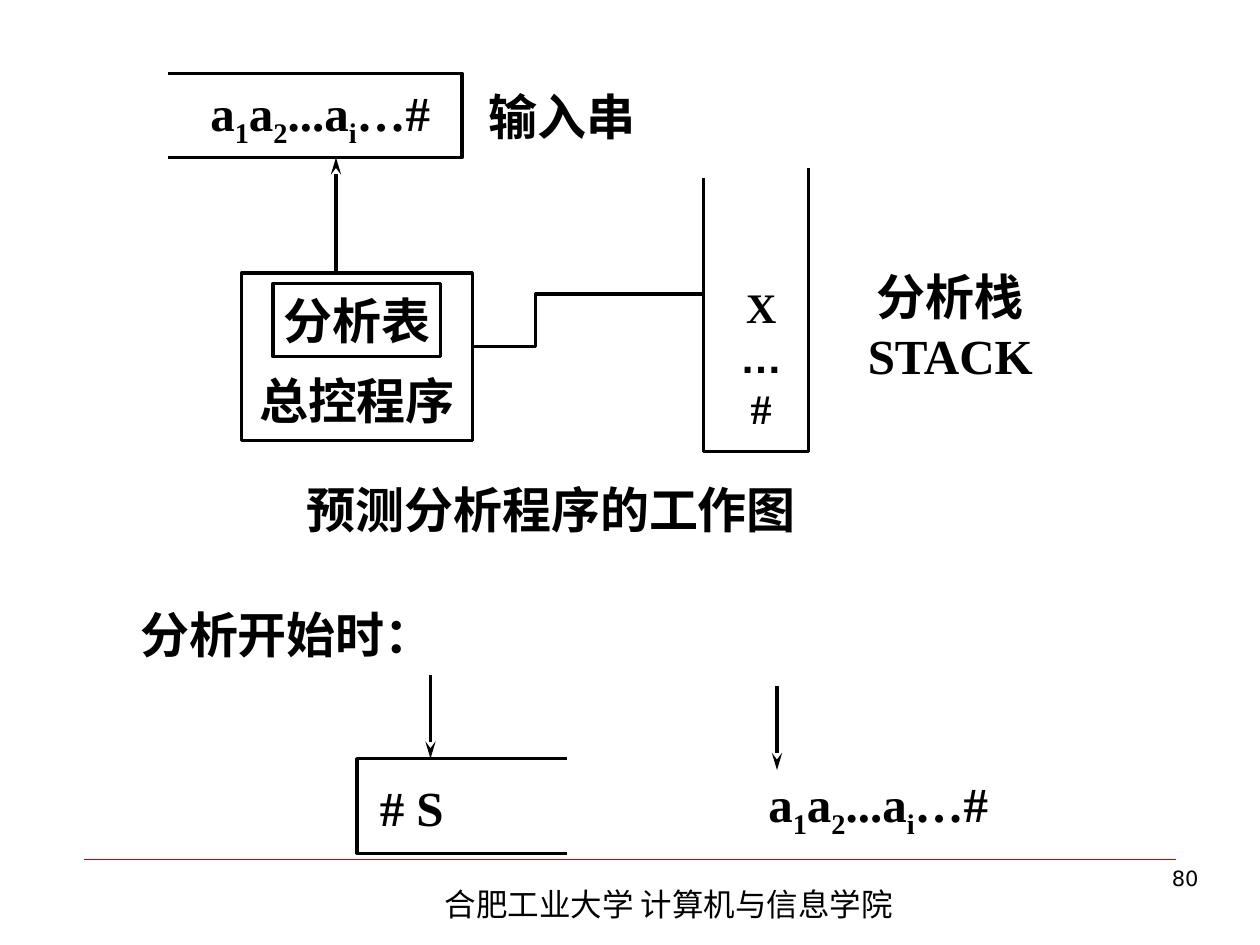
from dataclasses import dataclass

from lxml import etree
from pptx import Presentation
from pptx.dml.color import RGBColor
from pptx.enum.shapes import MSO_CONNECTOR, MSO_SHAPE
from pptx.enum.text import MSO_ANCHOR, PP_ALIGN
from pptx.oxml.ns import qn
from pptx.util import Pt

LEFT, CENTER, RIGHT = PP_ALIGN.LEFT, PP_ALIGN.CENTER, PP_ALIGN.RIGHT
TOP, MIDDLE, BOTTOM = MSO_ANCHOR.TOP, MSO_ANCHOR.MIDDLE, MSO_ANCHOR.BOTTOM
STRAIGHT = MSO_CONNECTOR.STRAIGHT
RECTANGLE = MSO_SHAPE.RECTANGLE

SERIF, SANS, CJK, NUMBER = "Times New Roman", "Arial", "Noto Sans CJK SC", "DejaVu Sans"
INK, RULE = "000000", "CC0000"
STROKE = 1.75
# Every second part between bars is a subscript
INPUT_STRING = "a|1|a|2|...a|i|…#"


@dataclass
class Box:
    left: float
    top: float
    width: float
    height: float

    def in_points(self):
        return Pt(self.left), Pt(self.top), Pt(self.width), Pt(self.height)


@dataclass
class Label:
    box: Box
    lines: list[str]
    align: PP_ALIGN = CENTER


@dataclass
class Arrow:
    x: float
    start: float
    end: float


def colour(hex_string: str) -> RGBColor:
    return RGBColor.from_string(hex_string)


def write(shape, lines, *, size=28, fonts=(SERIF,), bold=True, align=CENTER,
          anchor=MIDDLE, wrap=False, bottom_margin=3.6):
    """Write one paragraph per line; fonts are used in turn."""
    frame = shape.text_frame
    frame.word_wrap = wrap
    frame.vertical_anchor = anchor
    frame.margin_bottom = Pt(bottom_margin)
    for index, line in enumerate(lines):
        paragraph = frame.paragraphs[0] if index == 0 else frame.add_paragraph()
        paragraph.alignment = align
        for position, part in enumerate(line.split("|")):
            run = paragraph.add_run()
            run.text = part
            font = run.font
            font.name = fonts[index % len(fonts)]
            font.size, font.bold = Pt(size), bold
            font.color.rgb = colour(INK)
            east_asian = etree.SubElement(font._element, qn("a:ea"))
            east_asian.set("typeface", CJK)
            if position % 2:
                font._element.set("baseline", "-25000")


def add_text(slide, box: Box, lines: list[str], **text_format):
    write(slide.shapes.add_textbox(*box.in_points()), lines, **text_format)


def outline(shape):
    shape.shadow.inherit = False
    shape.fill.background()
    shape.line.color.rgb = colour(INK)
    shape.line.width = Pt(STROKE)


def add_box(slide, box: Box, text: str, **text_format):
    rectangle = slide.shapes.add_shape(RECTANGLE, *box.in_points())
    outline(rectangle)
    write(rectangle, [text], **text_format)


def add_path(slide, points: list[tuple[float, float]]):
    start, *others = [(Pt(x), Pt(y)) for x, y in points]
    builder = slide.shapes.build_freeform(*start)
    builder.add_line_segments(others, close=False)
    outline(builder.convert_to_shape())


def add_line(slide, start, end, *, ink=INK, width=STROKE, arrow=False):
    line = slide.shapes.add_connector(STRAIGHT, *(Pt(v) for v in (*start, *end)))
    line.line.color.rgb = colour(ink)
    line.line.width = Pt(width)
    if arrow:
        head = etree.SubElement(line.line._get_or_add_ln(), qn("a:tailEnd"))
        head.set("type", "stealth")
        head.set("len", "lg")
    etree.SubElement(line._element.spPr, qn("a:effectLst"))


def main():
    deck = Presentation()
    deck.slide_width, deck.slide_height = Pt(720), Pt(540)
    slide = deck.slides.add_slide(deck.slide_layouts[6])

    # Footer
    add_line(slide, (48, 491), (672, 491), ink=RULE, width=0.25)
    add_text(slide, Box(247, 502, 346, 29), ["合肥工业大学 计算机与信息学院"],
             size=18, fonts=(CJK,), bold=False, align=LEFT, anchor=TOP, wrap=True)
    add_text(slide, Box(536, 491, 156, 37.5), ["80"],
             size=12, fonts=(NUMBER,), bold=False, align=RIGHT, anchor=TOP, wrap=True)

    # Control program holding the parsing table
    add_box(slide, Box(138, 156, 132, 96), "总控程序", anchor=BOTTOM, bottom_margin=6.6)
    add_box(slide, Box(156, 162, 96, 42), "分析表")

    # Open outlines
    input_tape = [(96, 42), (264, 42), (264, 90), (96, 90)]
    stack = [(402, 102), (402, 258), (462, 258), (462, 96)]
    program_to_stack = [(270, 198), (306, 198), (306, 168), (402, 168)]
    initial_stack = [(324, 433.5), (204, 433.5), (204, 487.5), (324, 487.5)]
    for points in (input_tape, stack, program_to_stack, initial_stack):
        add_path(slide, points)

    # Reading head and the two starting positions
    for arrow in (Arrow(192, 156, 90), Arrow(246, 386, 433.5), Arrow(444, 392, 440)):
        add_line(slide, (arrow.x, arrow.start), (arrow.x, arrow.end), arrow=True)

    # Labels
    labels = [
        Label(Box(108, 48, 150, 36), [INPUT_STRING]),
        Label(Box(246, 48, 150, 36), ["输入串"]),
        Label(Box(468, 168, 150, 36), ["分析栈", "STACK"]),
        Label(Box(150, 270, 330, 42), ["预测分析程序的工作图"]),
        Label(Box(73, 341.5, 190, 41), ["分析开始时："], LEFT),
        Label(Box(210, 440, 102, 42), ["# S"], LEFT),
        Label(Box(432, 440, 160, 42), [INPUT_STRING], LEFT),
    ]
    for label in labels:
        add_text(slide, label.box, label.lines, align=label.align)
    add_text(slide, Box(414, 156, 42, 96), ["X", "…", "#"],
             size=24, fonts=(SERIF, SANS, SERIF))

    deck.save("out.pptx")


if __name__ == "__main__":
    main()
